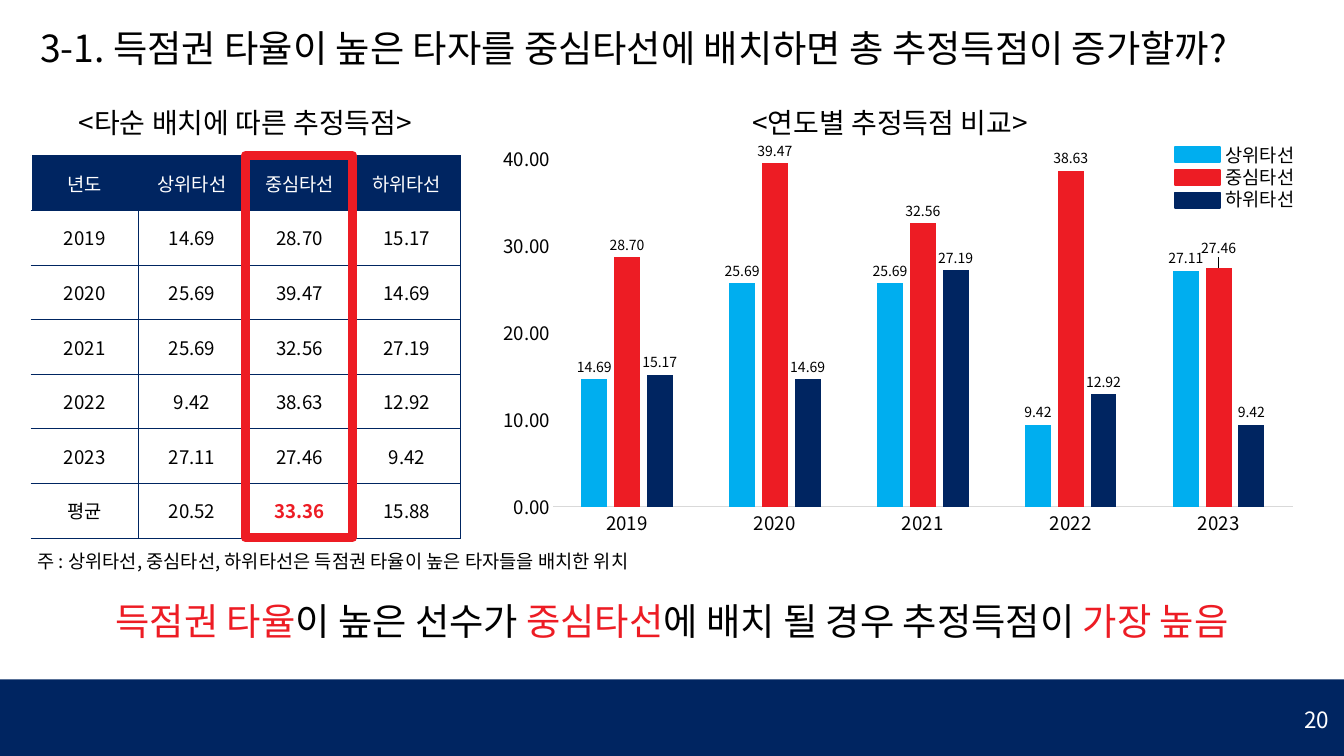
from lxml import etree
from pptx import Presentation
from pptx import util as u
from pptx.chart import data as chart_data
from pptx.dml import color
from pptx.enum import chart as chart_enum
from pptx.enum import shapes, text
from pptx.oxml import ns

FONT = "Noto Sans CJK KR"
NAVY, RED, SKY, BLACK, WHITE = "002561", "ED1C24", "00AEEF", "000000", "FFFFFF"
CENTER, RIGHT = text.PP_ALIGN.CENTER, text.PP_ALIGN.RIGHT
GROUPS = ["상위타선", "중심타선", "하위타선"]
GROUP_COLORS = [SKY, RED, NAVY]
YEARS = ["2019", "2020", "2021", "2022", "2023"]
SCORES = [
    [14.69, 25.69, 25.69, 9.42, 27.11],
    [28.70, 39.47, 32.56, 38.63, 27.46],
    [15.17, 14.69, 27.19, 12.92, 9.42],
]
AVERAGES = ["20.52", "33.36", "15.88"]


def rgb(value):
    """Turn a hex string into a colour."""
    return color.RGBColor.from_string(value)


def box(left, top, width, height):
    """Return a frame in centimetres as lengths."""
    return [u.Cm(value) for value in (left, top, width, height)]


def style_font(font, size, fill=BLACK, bold=False):
    """Set the face, size, colour and weight of a font."""
    font.name, font.size, font.bold = FONT, u.Pt(size), bold
    font.color.rgb = rgb(fill)


def write(paragraph, content, size=20, fill=BLACK, bold=False, align=None, spacing=None):
    """Add one formatted run to a paragraph."""
    if align is not None:
        paragraph.alignment = align
    if spacing:
        paragraph.line_spacing = u.Pt(size * spacing)
    run = paragraph.add_run()
    run.text = content
    style_font(run.font, size, fill, bold)
    east_asian = etree.SubElement(run.font._element, ns.qn("a:ea"))
    east_asian.set("typeface", FONT)


def add_text(slide, frame, lines, spacing=1.25, anchor=text.MSO_ANCHOR.TOP, **style):
    """Add a text box whose lines are lists of (text, colour) runs."""
    text_frame = slide.shapes.add_textbox(*box(*frame)).text_frame
    text_frame.word_wrap = True
    text_frame.vertical_anchor = anchor
    for index, line in enumerate(lines):
        paragraph = text_frame.add_paragraph() if index else text_frame.paragraphs[0]
        for content, fill in line:
            write(paragraph, content, fill=fill, spacing=spacing, **style)


def add_rectangle(slide, frame, fill=None, line=None, line_width=1):
    """Add a rectangle with an optional fill and outline."""
    shape = slide.shapes.add_shape(shapes.MSO_SHAPE.RECTANGLE, *box(*frame))
    shape.shadow.inherit = False
    if fill:
        shape.fill.solid()
        shape.fill.fore_color.rgb = rgb(fill)
    else:
        shape.fill.background()
    if line:
        shape.line.color.rgb = rgb(line)
        shape.line.width = u.Pt(line_width)
    else:
        shape.line.fill.background()


def add_borders(cell, sides):
    """Draw navy lines on the given sides of a cell."""
    properties = cell._tc.get_or_add_tcPr()
    for side in sides:
        line = etree.SubElement(properties, ns.qn(f"a:ln{side}"), w=str(u.Pt(1)))
        solid = etree.SubElement(line, ns.qn("a:solidFill"))
        etree.SubElement(solid, ns.qn("a:srgbClr"), val=NAVY)


def add_score_table(slide):
    """Add the table of estimated runs by year and batting group."""
    rows = [["년도", *GROUPS]]
    rows += [[year, *(f"{score:.2f}" for score in scores)]
             for year, *scores in zip(YEARS, *SCORES)]
    rows.append(["평균", *AVERAGES])
    frame = box(1.17, 5.89, 16.24, 14.45)
    table = slide.shapes.add_table(len(rows), len(rows[0]), *frame).table
    table.first_row = table.horz_banding = False
    for column in table.columns:
        column.width = u.Cm(4.06)
    for row_index, row in enumerate(rows):
        for column_index, content in enumerate(row):
            cell = table.cell(row_index, column_index)
            header, best = row_index == 0, content == max(AVERAGES)
            add_borders(cell, "LRTB" if column_index else "RTB")
            cell.fill.solid()
            cell.fill.fore_color.rgb = rgb(NAVY if header else WHITE)
            cell.vertical_anchor = text.MSO_ANCHOR.MIDDLE
            fill = WHITE if header else RED if best else BLACK
            write(cell.text_frame.paragraphs[0], content, fill=fill, bold=best, align=CENTER)


def add_layout(parent, position, **values):
    """Insert a manual chart layout at a child position."""
    layout = etree.Element(ns.qn("c:layout"))
    manual = etree.SubElement(layout, ns.qn("c:manualLayout"))
    for name, value in values.items():
        etree.SubElement(manual, ns.qn(f"c:{name}"), val=str(value))
    for old in parent.findall(ns.qn("c:layout")):
        parent.remove(old)
    parent.insert(position, layout)


def add_score_chart(slide):
    """Add the clustered columns of estimated runs by year."""
    data = chart_data.CategoryChartData(number_format="0.00")
    data.categories = YEARS
    for name, scores in zip(GROUPS, SCORES):
        data.add_series(name, scores)
    kind = chart_enum.XL_CHART_TYPE.COLUMN_CLUSTERED
    chart = slide.shapes.add_chart(kind, *box(18.11, 5.31, 31.06, 15.04), data).chart
    chart.has_legend = chart.has_title = False
    style_font(chart.font, 10)
    add_layout(chart._chartSpace.chart.plotArea, 0, layoutTarget="inner", xMode="edge",
               yMode="edge", x=0.09, y=0.04, w=0.9, h=0.88)

    for axis in (chart.category_axis, chart.value_axis):
        axis.major_tick_mark = axis.minor_tick_mark = chart_enum.XL_TICK_MARK.NONE
        axis.has_major_gridlines = False
        style_font(axis.tick_labels.font, 20)
    chart.category_axis.format.line.color.rgb = rgb("D9D9D9")
    chart.category_axis.format.line.width = u.Pt(0.75)
    values = chart.value_axis
    values.format.line.fill.background()
    values.minimum_scale, values.maximum_scale, values.major_unit = 0, 40, 10
    values.tick_labels.number_format = "0.00"
    values.tick_labels.number_format_is_linked = False

    plot = chart.plots[0]
    plot.gap_width, plot.overlap, plot.vary_by_categories = 219, -27, False
    outside = chart_enum.XL_LABEL_POSITION.OUTSIDE_END
    for series, fill in zip(plot.series, GROUP_COLORS):
        series.format.fill.solid()
        series.format.fill.fore_color.rgb = rgb(fill)
        labels = series.data_labels
        labels.show_value, labels.position = True, outside
        labels.number_format, labels.number_format_is_linked = "0.00", False
        style_font(labels.font, 15)
    raised = plot.series[1].points[4].data_label
    raised.position = outside
    style_font(raised.font, 15)
    add_layout(plot.series[1].data_labels._element.find(ns.qn("c:dLbl")), 1, x=0, y=-0.02)


def add_legend(slide):
    """Add the colour key of the batting groups."""
    add_text(slide, (44.04, 5.31, 5.13, 2.82), [[(name, BLACK)] for name in GROUPS],
             spacing=1.18, align=RIGHT)
    for index, fill in enumerate(GROUP_COLORS):
        add_rectangle(slide, (44.4, 5.56 + 0.86 * index, 1.7, 0.58), fill, fill, 2)


def main():
    """Build the slide and save it."""
    presentation = Presentation()
    presentation.slide_width, presentation.slide_height = u.Cm(50.8), u.Cm(28.58)
    slide = presentation.slides.add_slide(presentation.slide_layouts[6])
    add_score_table(slide)
    add_score_chart(slide)
    add_rectangle(slide, (9.27, 5.89, 4.06, 14.43), line=RED, line_width=10)
    add_legend(slide)
    title = "3-1. 득점권 타율이 높은 타자를 중심타선에 배치하면 총 추정득점이 증가할까?"
    add_text(slide, (1.27, 0.76, 48.72, 1.96), [[(title, BLACK)]], size=40)
    for left, width, heading in ((2.24, 14.07, "<타순 배치에 따른 추정득점>"),
                                 (22.91, 21.46, "<연도별 추정득점 비교>")):
        add_text(slide, (left, 3.81, width, 1.55), [[(heading, BLACK)]], size=30, align=CENTER)
    note = "주 : 상위타선, 중심타선, 하위타선은 득점권 타율이 높은 타자들을 배치한 위치"
    add_text(slide, (1.17, 20.62, 48.03, 1.12), [[(note, BLACK)]])
    conclusion = [("득점권 타율", RED), ("이 높은 선수가 ", BLACK), ("중심타선", RED),
                  ("에 배치 될 경우 추정득점이 ", BLACK), ("가장 높음", RED)]
    add_text(slide, (0, 22.4, 50.8, 1.96), [conclusion], size=40, align=CENTER)
    add_rectangle(slide, (0, 25.68, 50.8, 2.9), NAVY)
    add_text(slide, (44.65, 26.11, 5.84, 2.16), [[("20", WHITE)]], size=24, align=RIGHT,
             anchor=text.MSO_ANCHOR.MIDDLE)
    presentation.save("out.pptx")


if __name__ == "__main__":
    main()
